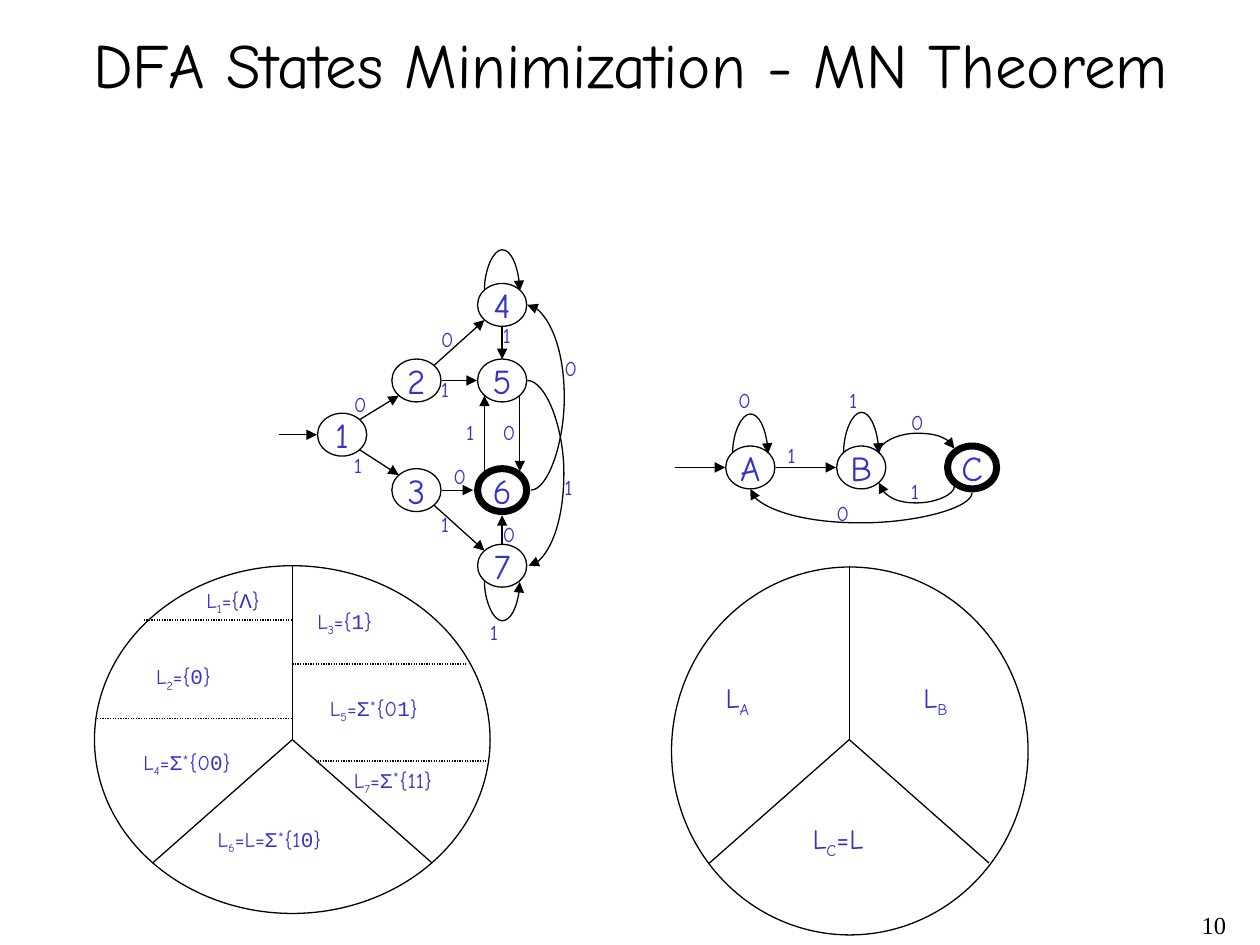
from pptx import Presentation
from pptx.util import Cm, Pt
from pptx.dml.color import RGBColor as Rgb
from pptx.enum.dml import MSO_LINE as Dash
from pptx.enum.shapes import MSO_CONNECTOR as Conn, MSO_SHAPE as Kind
from pptx.enum.text import MSO_ANCHOR as Anchor, PP_ALIGN as Align
from lxml.etree import SubElement as Sub
from pptx.oxml.ns import qn

HUES = {"ink": "000000", "text": "3333CC"}
FACE, MONO = "Comic Neue", "Courier New"
WIDE, HIGH = 0.39, 0.34      # size of a state, in inches
BOLD = 0.03                  # room for the thick rim of a final state

# Run styles: font face and baseline shift
RUNS = {"": (FACE, 0), "sub": (FACE, -25), "mono": (MONO, 0), "sup": (MONO, 30)}
SIDES = {"N": (0, -0.17), "S": (0, 0.17), "E": (0.2, 0), "W": (-0.2, 0),
         "NE": (0.14, -0.12), "NW": (-0.14, -0.12),
         "SE": (0.14, 0.12), "SW": (-0.14, 0.12)}


def unit(val):
    """Turn inches into a Cm length."""
    return Cm(round(val * 2.54, 3))


def apply(part, form):
    for key, val in form.items():
        setattr(part, key, val)


class Board:
    def __init__(self, slide):
        self.slide, self.shapes = slide, slide.shapes
        self.spots = {}

    def rim(self, line, width=0.75, dash=None):
        line.color.rgb = Rgb.from_string(HUES["ink"])
        apply(line, {"width": Pt(width), "dash_style": dash})

    def fill_in(self, frame, runs, size=12, hue="text", align=Align.LEFT,
                face=None, wrap=True, anchor=Anchor.TOP):
        apply(frame, {"word_wrap": wrap, "vertical_anchor": anchor})
        para = frame.paragraphs[0]
        para.alignment = align
        for text, style in runs:
            name, shift = RUNS[style]
            run = para.add_run()
            run.text = text
            apply(run.font, {"size": Pt(size), "name": face or name})
            run.font.color.rgb = Rgb.from_string(HUES[hue])
            if shift:
                run.font._element.set("baseline", str(shift * 1000))

    def text(self, box, runs, **form):
        if isinstance(runs, str):
            runs = [(runs, "")]
        frame = self.shapes.add_textbox(*map(unit, box)).text_frame
        self.fill_in(frame, runs, **form)

    def oval(self, box, width=0.75):
        oval = self.shapes.add_shape(Kind.OVAL, *map(unit, box))
        oval.shadow.inherit = False
        oval.fill.background()
        self.rim(oval.line, width)
        return oval

    def state(self, name, left, top, final=False):
        oval = self.oval((left, top, WIDE, HIGH), 4 if final else 0.75)
        self.fill_in(oval.text_frame, [(name, "")], size=20, align=Align.CENTER,
                     wrap=False, anchor=Anchor.MIDDLE)
        self.spots[name] = (left + WIDE / 2, top + HIGH / 2, final)

    def site(self, name, side):
        """Point on the rim of a state."""
        x, y, final = self.spots[name]
        dx, dy = SIDES[side]
        gap = BOLD if final else 0
        if dy:
            dy += gap if dy > 0 else -gap
        else:
            dx += gap if dx > 0 else -gap
        return x + dx, y + dy

    def line(self, start, end, kind=Conn.STRAIGHT, head=False, dash=None):
        link = self.shapes.add_connector(kind, *map(unit, (*start, *end)))
        self.rim(link.line, dash=dash)
        props = link._element.spPr
        if head:
            Sub(props.find(qn("a:ln")), qn("a:tailEnd"), type="triangle")
        Sub(props, qn("a:effectLst"))
        return props

    def curve(self, start, end, peak, axis):
        """Bend from start to end by way of peak along axis x or y."""
        (x1, y1), (x2, y2) = start, end
        if axis == "x":
            x2 = x2 if abs(x2 - x1) > 0.01 else x1 + 0.01
            bend = (peak - x1) / (x2 - x1)
            props = self.line(start, (x2, y2), Conn.CURVE, True)
        else:
            y2 = y2 if abs(y2 - y1) > 0.01 else y1 + 0.01
            bend = (peak - y1) / (y2 - y1)
            # The frame lies on its side and is turned by 90 degrees
            mx, my = (x1 + x2) / 2, (y1 + y2) / 2
            dx, dy = (x2 - x1) / 2, (y2 - y1) / 2
            props = self.line((mx - dy, my + dx), (mx + dy, my - dx),
                              Conn.CURVE, True)
            props.find(qn("a:xfrm")).set("rot", str(90 * 60000))
        guides = props.find(qn("a:prstGeom")).find(qn("a:avLst"))
        Sub(guides, qn("a:gd"), name="adj1", fmla=f"val {round(bend * 100000)}")

    def split(self, hub):
        """Three spokes that cut a disc into classes."""
        x, y = hub
        for dx, dy in ((-1.11, 0.98), (1.11, 0.98), (0, -1.38)):
            self.line(hub, (x + dx, y + dy))


def main():
    deck = Presentation()
    deck.slide_width, deck.slide_height = unit(10), unit(7.5)
    board = Board(deck.slides.add_slide(deck.slide_layouts[6]))

    # Title and page number
    board.text((0.17, 0.17, 9.67, 0.67), "DFA States Minimization - MN Theorem",
               size=36, hue="ink", align=Align.CENTER, anchor=Anchor.MIDDLE)
    board.text((7.75, 7.17, 2.08, 0.33), "10", size=14, hue="ink",
               align=Align.RIGHT, face="Times New Roman")

    # States of both machines
    for name, left, top in (
            ("1", 2.52, 3.28), ("3", 3.11, 3.72), ("2", 3.11, 2.85),
            ("4", 3.79, 2.25), ("5", 3.79, 2.85), ("6", 3.79, 3.72),
            ("7", 3.79, 4.32), ("A", 5.76, 3.54), ("B", 6.64, 3.54),
            ("C", 7.52, 3.54)):
        board.state(name, left, top, name in "6C")

    # Start arrows and straight moves
    for name, gap in (("1", 0.3), ("A", 0.4)):
        x, y = board.site(name, "W")
        board.line((x - gap, y), (x, y), head=True)
    for move in ("1 NE 2 SW", "1 SE 3 NW", "2 NE 4 SW", "2 E 5 W", "3 E 6 W",
                 "3 SE 7 NW", "4 S 5 N", "7 N 6 S", "6 NW 5 SW", "5 SE 6 NE",
                 "A E B W"):
        a, out, b, into = move.split()
        board.line(board.site(a, out), board.site(b, into), head=True)

    # Curved moves
    for move, peak, axis in (
            ("4 NW 4 NE", 1.99, "y"), ("7 SW 7 SE", 4.92, "y"),
            ("5 E 7 E", 4.48, "x"), ("6 E 4 E", 4.48, "x"),
            ("A NW A NE", 3.28, "y"), ("B NW B NE", 3.28, "y"),
            ("B NE C NW", 3.44, "y"), ("C SW B SE", 3.99, "y"),
            ("C S A S", 4.15, "y")):
        a, out, b, into = move.split()
        board.curve(board.site(a, out), board.site(b, into), peak, axis)

    # Input symbols on the moves
    marks = {
        "0": ((2.71, 3.06), (3.4, 2.54), (4.38, 2.77), (3.89, 3.28),
              (3.89, 4.09), (3.5, 3.63), (5.76, 3.03), (6.54, 3.92),
              (7.13, 3.2)),
        "1": ((2.71, 3.54), (3.4, 4.01), (3.79, 4.87), (4.38, 3.72),
              (3.6, 3.28), (3.4, 2.94), (3.89, 2.51), (6.15, 3.46),
              (6.64, 3.03), (7.13, 3.75))}
    for mark, spots in marks.items():
        for spot in spots:
            board.text((*spot, 0.29, 0.31), mark)

    # Discs with their three classes
    board.oval((0.75, 4.49, 3.14, 2.76))
    board.oval((5.33, 4.5, 2.83, 2.92))
    for hub in ((2.32, 5.87), (6.74, 5.87)):
        board.split(hub)
    for x1, x2, y in ((2.32, 3.7, 5.27), (2.52, 3.89, 6.04),
                      (1.14, 2.32, 4.92), (0.75, 2.32, 5.7)):
        board.line((x1, y), (x2, y), dash=Dash.ROUND_DOT)

    # Fine classes: one word, or all words with a given end
    for num, left, top, word in (("1", 1.54, 4.61, "Λ"), ("2", 1.14, 5.22, "0"),
                                 ("3", 2.42, 4.78, "1")):
        board.text((left, top, 0.88, 0.31),
                   [("L", ""), (num, "sub"), ("={", ""), (word, "mono"), ("}", "")])
    for num, left, top, width, sign, lead, last in (
            ("4", 1.04, 5.9, 1.08, "=", "0", "0"),
            ("5", 2.52, 5.47, 1.08, "=", "0", "1"),
            ("7", 2.71, 6.04, 1.08, "=", "11", ""),
            ("6", 1.63, 6.51, 1.37, "=L=", "1", "0")):
        tail = [("{" + lead, ""), (last, "mono"), ("}", "")] if last else [("{" + lead + "}", "")]
        board.text((left, top, width, 0.31),
                   [("L", ""), (num, "sub"), (sign, ""), ("Σ", "mono"), ("*", "sup")] + tail)

    # Merged classes
    for name, left, top, width, rest in (
            ("A", 5.66, 5.35, 0.59, ""), ("B", 7.23, 5.35, 0.59, ""),
            ("C", 6.35, 6.47, 0.88, "=L")):
        runs = [("L", ""), (name, "sub")] + ([(rest, "")] if rest else [])
        board.text((left, top, width, 0.38), runs, size=16)

    deck.save("out.pptx")


if __name__ == "__main__":
    main()
